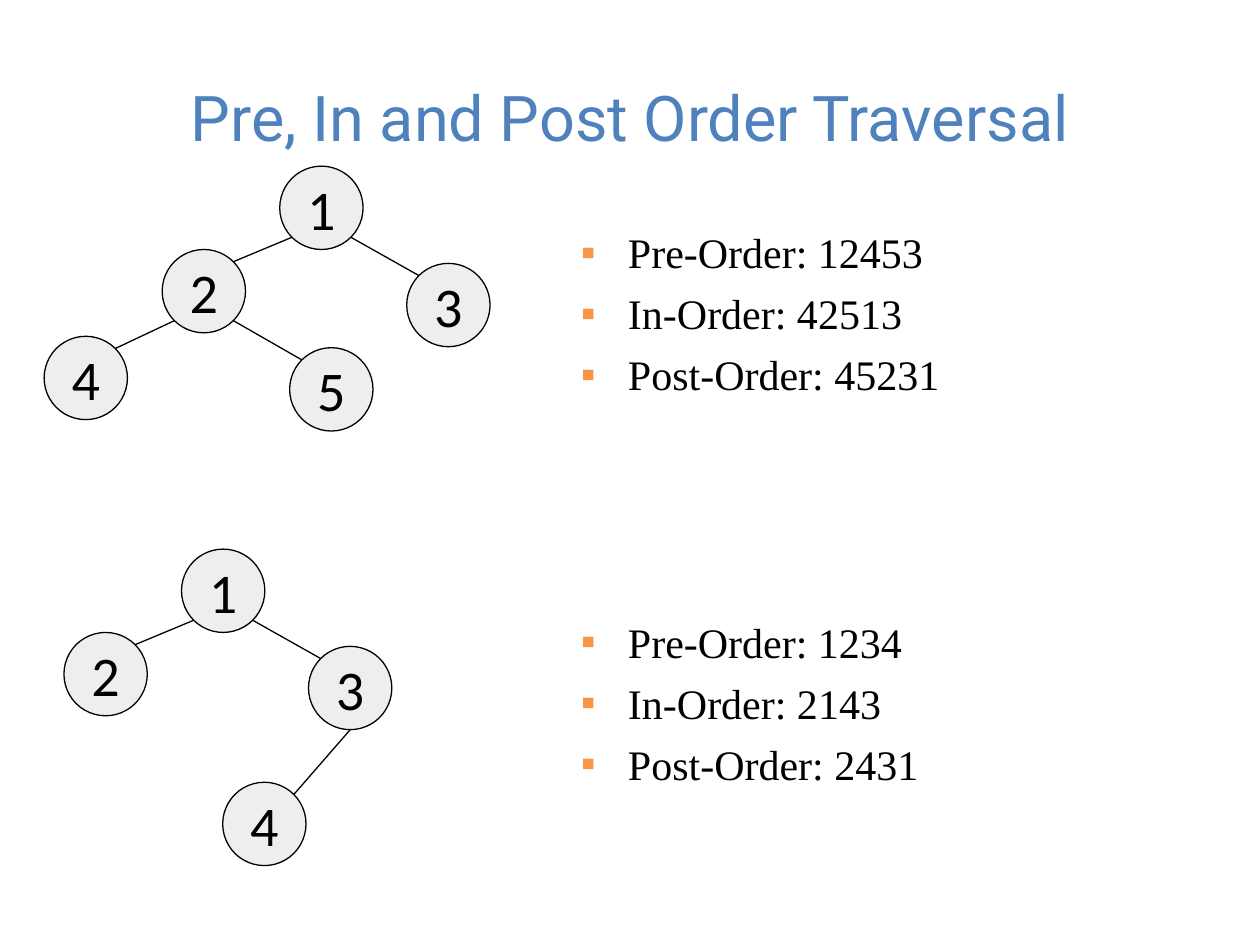
from math import copysign, sqrt

from lxml.etree import SubElement
from pptx import Presentation
from pptx.dml.color import RGBColor
from pptx.enum.shapes import MSO_CONNECTOR, MSO_SHAPE
from pptx.enum.text import MSO_ANCHOR, PP_ALIGN
from pptx.oxml.ns import qn
from pptx.util import Cm, Pt

BLUE = RGBColor(0x4F, 0x81, 0xBD)
ORANGE = RGBColor(0xF7, 0x96, 0x46)
GREY = RGBColor(0xEE, 0xEE, 0xEE)
BLACK = RGBColor(0, 0, 0)

TITLE = "Pre, In and Post Order Traversal"
TREES = [
    {
        "nodes": {"1": (6.48, 4.19), "2": (4.11, 5.87), "3": (9.04, 6.15),
                  "4": (1.73, 7.62), "5": (6.68, 7.85)},
        "edges": [("1", "2"), ("1", "3"), ("2", "4"), ("2", "5")],
        "straight_down": [],
        "orders": ["Pre-Order: 12453", "In-Order: 42513", "Post-Order: 45231"],
        "list_top": 4.45,
    },
    {
        "nodes": {"1": (4.5, 11.91), "2": (2.13, 13.59), "3": (7.06, 13.87),
                  "4": (5.33, 16.61)},
        "edges": [("1", "2"), ("1", "3"), ("3", "4")],
        "straight_down": ["3"],
        "orders": ["Pre-Order: 1234", "In-Order: 2143", "Post-Order: 2431"],
        "list_top": 12.3,
    },
]
RADIUS = 0.84
DIAGONAL = RADIUS * sqrt(0.5)
LIST_LEFT, LIST_WIDTH, LIST_HEIGHT = 11.46, 12.67, 5.08
INDENT = Cm(0.95)


def add_run(p, text, font, size, color):
    r = p.add_run()
    r.text = text
    r.font.name = font
    r.font.size = Pt(size)
    r.font.color.rgb = color


def add_edge(s, parent, child, from_bottom):
    (px, py), (cx, cy) = parent, child
    dx = copysign(DIAGONAL, cx - px)
    start = (px, py + RADIUS) if from_bottom else (px + dx, py + DIAGONAL)
    end = (cx - dx, cy - DIAGONAL)
    line = s.shapes.add_connector(
        MSO_CONNECTOR.STRAIGHT, *(Cm(v) for v in start + end))
    line.line.color.rgb = BLACK
    line.line.width = Pt(0.75)
    SubElement(line._element.spPr, qn("a:effectLst"))


def add_node(s, label, center):
    x, y = center
    sp = s.shapes.add_shape(MSO_SHAPE.OVAL, Cm(x - RADIUS), Cm(y - RADIUS),
                            Cm(2 * RADIUS), Cm(2 * RADIUS))
    sp.shadow.inherit = False
    sp.fill.solid()
    sp.fill.fore_color.rgb = GREY
    sp.line.color.rgb = BLACK
    sp.line.width = Pt(0.75)
    tf = sp.text_frame
    tf.margin_left = tf.margin_right = Cm(0.25)
    tf.margin_top = tf.margin_bottom = Cm(0.25)
    tf.vertical_anchor = MSO_ANCHOR.MIDDLE
    p = tf.paragraphs[0]
    p.alignment = PP_ALIGN.CENTER
    add_run(p, label, "Calibri", 32, BLACK)


def add_bullet(p):
    pPr = p._p.get_or_add_pPr()
    pPr.set("marL", str(INDENT))
    pPr.set("indent", str(-INDENT))
    color = SubElement(pPr, qn("a:buClr"))
    SubElement(color, qn("a:srgbClr"), val=str(ORANGE))
    SubElement(pPr, qn("a:buFont"), typeface="Times New Roman")
    SubElement(pPr, qn("a:buChar"), char="▪")


def add_orders(s, orders, top):
    sp = s.shapes.add_textbox(Cm(LIST_LEFT), Cm(top),
                              Cm(LIST_WIDTH), Cm(LIST_HEIGHT))
    tf = sp.text_frame
    tf.word_wrap = True
    for i, order in enumerate(orders):
        p = tf.add_paragraph() if i else tf.paragraphs[0]
        add_bullet(p)
        if i:
            p.space_before = Pt(6)
        add_run(p, order, "Times New Roman", 24, BLACK)


def add_title(s):
    sp = s.shapes.title
    sp.left, sp.top, sp.width, sp.height = Cm(1.27), Cm(0.76), Cm(22.86), Cm(3.18)
    tf = sp.text_frame
    tf.vertical_anchor = MSO_ANCHOR.MIDDLE
    p = tf.paragraphs[0]
    p.alignment = PP_ALIGN.CENTER
    add_run(p, TITLE, "Roboto", 36, BLUE)


def main():
    prs = Presentation()
    prs.slide_width, prs.slide_height = Cm(25.4), Cm(19.05)
    s = prs.slides.add_slide(prs.slide_layouts[5])
    add_title(s)
    for tree in TREES:
        nodes = tree["nodes"]
        for parent, child in tree["edges"]:
            add_edge(s, nodes[parent], nodes[child],
                     parent in tree["straight_down"])
        for label, center in nodes.items():
            add_node(s, label, center)
        add_orders(s, tree["orders"], tree["list_top"])
    prs.save("out.pptx")


if __name__ == "__main__":
    main()
